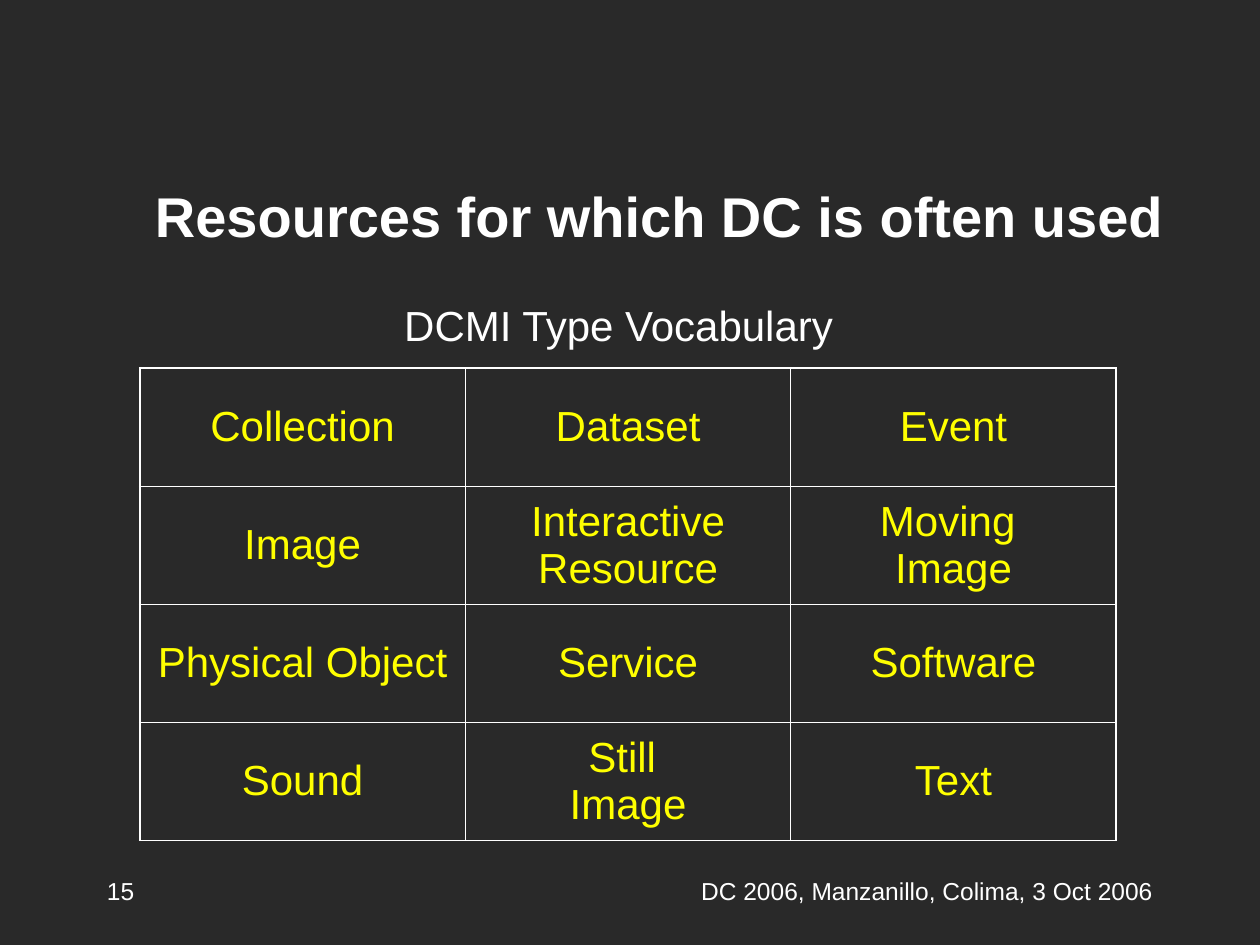
from lxml import etree
from pptx import Presentation
from pptx.dml.color import RGBColor
from pptx.enum.text import MSO_ANCHOR, PP_ALIGN
from pptx.oxml.ns import qn
from pptx.util import Inches, Pt

BACKGROUND = RGBColor(0x29, 0x29, 0x29)
WHITE = RGBColor(0xFF, 0xFF, 0xFF)
YELLOW = RGBColor(0xFF, 0xFF, 0x00)
FONT = "Arial"
OUTER_LINE = Pt(1.08)
INNER_LINE = Pt(0.45)

RESOURCE_TYPES = [
    ["Collection", "Dataset", "Event"],
    ["Image", "Interactive Resource", "Moving \vImage"],
    ["Physical Object", "Service", "Software"],
    ["Sound", "Still \vImage", "Text"],
]


def write_text(text_frame, content, size, color, align=PP_ALIGN.LEFT, bold=False):
    text_frame.text = content
    paragraph = text_frame.paragraphs[0]
    paragraph.alignment = align
    for run in paragraph.runs:
        run.font.name = FONT
        run.font.size = Pt(size)
        run.font.bold = bold
        run.font.color.rgb = color


def add_text(slide, box, content, size, **style):
    """Add a white text box; box is left, top, width, height in inches."""
    text_frame = slide.shapes.add_textbox(*map(Inches, box)).text_frame
    text_frame.word_wrap = True
    write_text(text_frame, content, size, WHITE, **style)
    return text_frame


def add_title(slide, content):
    text_frame = add_text(slide, (0.75, 1.08, 9, 1.25), content, 32, bold=True)
    text_frame.vertical_anchor = MSO_ANCHOR.MIDDLE
    text_frame.margin_left = Inches(0.48)


def set_borders(cell, widths):
    """Draw white borders; widths are for left, right, top, bottom."""
    properties = cell._tc.get_or_add_tcPr()
    for index, (side, width) in enumerate(zip("LRTB", widths)):
        line = etree.Element(qn(f"a:ln{side}"), w=str(width))
        fill = etree.SubElement(line, qn("a:solidFill"))
        etree.SubElement(fill, qn("a:srgbClr"), val=str(WHITE))
        properties.insert(index, line)


def add_type_table(slide, rows):
    row_count, column_count = len(rows), len(rows[0])
    table = slide.shapes.add_table(
        row_count, column_count,
        Inches(1.11), Inches(2.92), Inches(7.75), Inches(3.75),
    ).table
    table.first_row = False
    table.horz_banding = False
    for r, row in enumerate(rows):
        for c, content in enumerate(row):
            cell = table.cell(r, c)
            write_text(cell.text_frame, content, 24, YELLOW, PP_ALIGN.CENTER)
            cell.vertical_anchor = MSO_ANCHOR.MIDDLE
            cell.fill.background()
            on_edge = (c == 0, c == column_count - 1, r == 0, r == row_count - 1)
            set_borders(cell, [OUTER_LINE if edge else INNER_LINE for edge in on_edge])


def main():
    presentation = Presentation()
    presentation.slide_width = Inches(10)
    presentation.slide_height = Inches(7.5)
    slide = presentation.slides.add_slide(presentation.slide_layouts[6])
    slide.background.fill.solid()
    slide.background.fill.fore_color.rgb = BACKGROUND

    add_title(slide, "Resources for which DC is often used")
    add_type_table(slide, RESOURCE_TYPES)
    add_text(slide, (3.11, 2.33, 3.75, 0.5), "DCMI Type Vocabulary", 24)
    add_text(slide, (5, 6.9, 4.25, 0.5), "DC 2006, Manzanillo, Colima, 3 Oct 2006", 14,
             align=PP_ALIGN.RIGHT)
    add_text(slide, (0.75, 6.9, 4.25, 0.5), "15", 14)
    presentation.save("out.pptx")


if __name__ == "__main__":
    main()
